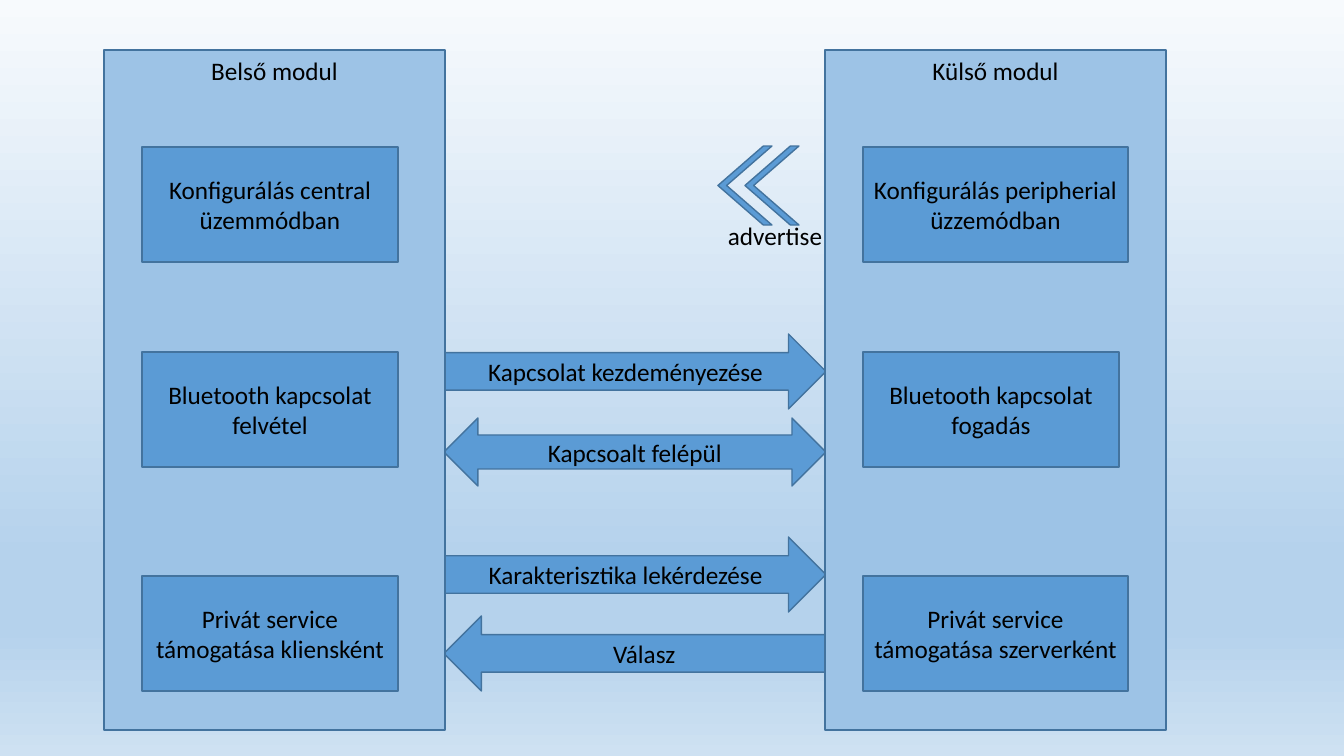
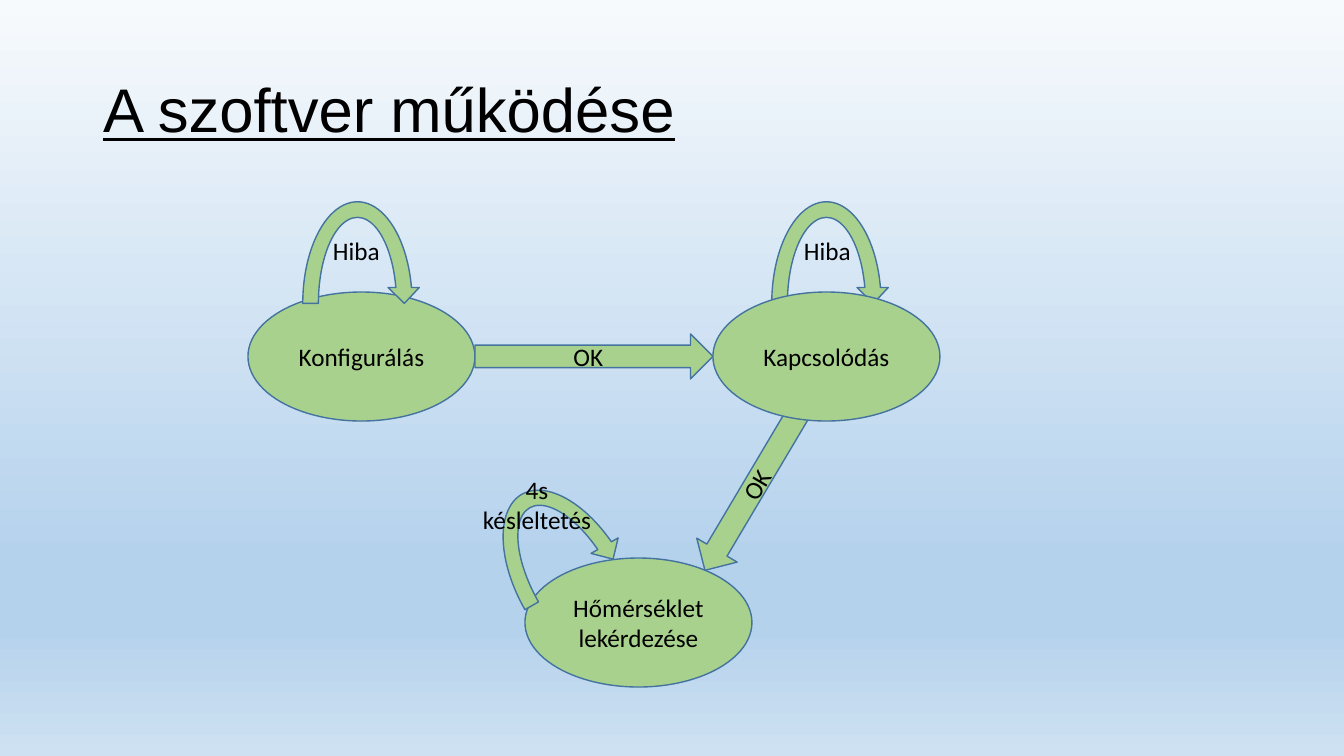
from copy import deepcopy
from dataclasses import dataclass

from pptx import Presentation
from pptx.dml.color import RGBColor
from pptx.enum.shapes import MSO_SHAPE
from pptx.enum.text import MSO_ANCHOR, MSO_AUTO_SIZE, PP_ALIGN
from pptx.oxml.ns import qn
from pptx.util import Pt

RECT, ELLIPSE, CHEVRON = MSO_SHAPE.RECTANGLE, MSO_SHAPE.OVAL, MSO_SHAPE.CHEVRON
RIGHT, BOTH = MSO_SHAPE.RIGHT_ARROW, MSO_SHAPE.LEFT_RIGHT_ARROW
LOOP = MSO_SHAPE.CIRCULAR_ARROW
TOP, MIDDLE = MSO_ANCHOR.TOP, MSO_ANCHOR.MIDDLE
LEFT, CENTER = PP_ALIGN.LEFT, PP_ALIGN.CENTER
GROW = MSO_AUTO_SIZE.SHAPE_TO_FIT_TEXT
TITLE_ONLY, BLANK = 5, 6


@dataclass(frozen=True)
class Theme:
    ink: str = "000000"
    line: str = "43739E"
    panel: str = "9DC3E6"
    step: str = "5B9BD5"
    state: str = "A9D18E"
    sky: tuple = ((0, "F7FAFD"), (0.74, "B5D2EC"), (0.83, "B5D2EC"), (1, "CEE1F2"))
    title_font: str = "Arial"
    body_font: str = "Calibri"
    title_size: int = 44
    body_size: int = 18


THEME = Theme()
WIDTH, HEIGHT = 1344, 756
EMU_PER_PX = 914400 / 100.8


def px(n):
    return round(n * EMU_PER_PX)


def color(value):
    return RGBColor.from_string(value)


# Shared helpers
def set_text(tf, text, align=CENTER, font=THEME.body_font, size=THEME.body_size):
    tf.text = text
    for p in tf.paragraphs:
        p.alignment = align
        for r in p.runs:
            r.font.name, r.font.size = font, Pt(size)
            r.font.color.rgb = color(THEME.ink)


def add_block(slide, kind, box, fill, text="", anchor=MIDDLE, rot=0, flip=False):
    s = slide.shapes.add_shape(kind, *map(px, box))
    s.shadow.inherit = False
    s.fill.solid()
    s.fill.fore_color.rgb = color(fill)
    s.line.color.rgb = color(THEME.line)
    s.line.width = Pt(1)
    s.rotation = rot
    if flip:
        s.element.spPr.find(qn("a:xfrm")).set("flipH", "1")
    if text:
        s.text_frame.word_wrap = True
        s.text_frame.vertical_anchor = anchor
        set_text(s.text_frame, text)
    return s


def add_label(slide, box, text, align=LEFT, wrap=True):
    tf = slide.shapes.add_textbox(*map(px, box)).text_frame
    tf.word_wrap = wrap
    tf.auto_size = GROW
    set_text(tf, text, align)


def paint_background(master):
    fill = master.background.fill
    fill.gradient()
    fill.gradient_angle = 270
    stops = master.element.find(".//" + qn("a:gsLst"))
    while len(stops) < len(THEME.sky):
        stops.append(deepcopy(stops[0]))
    for stop, (position, value) in zip(fill.gradient_stops, THEME.sky):
        stop.position = position
        stop.color.rgb = color(value)


def set_title(slide, box, text):
    sp = slide.shapes.title
    sp.left, sp.top, sp.width, sp.height = map(px, box)
    tf = sp.text_frame
    tf.vertical_anchor = MIDDLE
    set_text(tf, text, LEFT, THEME.title_font, THEME.title_size)
    p = tf.paragraphs[0]
    p.line_spacing = 0.9
    p.runs[0].font.underline = True


# Slide 1: two modules and their messages
def add_module(slide, box, name, steps):
    x, y, _, _ = box
    add_block(slide, RECT, box, THEME.panel, name, TOP)
    for dy, (width, text) in zip((97, 302, 526), steps):
        add_block(slide, RECT, (x + 38, y + dy, width, 115), THEME.step, text)


def add_messages(slide, box):
    x, y, width, _ = box
    messages = (
        (RIGHT, 284, 75, False, "Kapcsolat kezdeményezése"),
        (BOTH, 368, 68, False, "Kapcsoalt felépül"),
        (RIGHT, 487, 75, False, "Karakterisztika lekérdezése"),
        (RIGHT, 566, 75, True, "Válasz"),
    )
    for kind, dy, height, flip, text in messages:
        add_block(slide, kind, (x, y + dy, width, height), THEME.step, text, flip=flip)


def add_advertising(slide, box):
    x, y, _, _ = box
    for dx in (0, 27):
        s = add_block(slide, CHEVRON, (x + dx, y, 54, 79), THEME.step, flip=True)
        s.adjustments[0] = 0.84
    add_label(slide, (x, y + 69, 116, 40), "advertise", wrap=False)


def build_modules(prs):
    slide = prs.slides.add_slide(prs.slide_layouts[BLANK])
    add_messages(slide, (444, 50, 382, 680))
    add_advertising(slide, (718, 146, 116, 109))
    add_module(slide, (104, 50, 341, 680), "Belső modul", (
        (256, "Konfigurálás central üzemmódban"),
        (256, "Bluetooth kapcsolat felvétel"),
        (256, "Privát service támogatása kliensként"),
    ))
    add_module(slide, (825, 50, 341, 680), "Külső modul", (
        (265, "Konfigurálás peripherial\nüzzemódban"),
        (256, "Bluetooth kapcsolat fogadás"),
        (265, "Privát service támogatása szerverként"),
    ))


# Slide 2: state diagram
def add_state(slide, box, name):
    add_block(slide, ELLIPSE, box, THEME.state, name)


def add_loop(slide, state, offset, label, text, align=LEFT, rot=0):
    """Place the loop and its label relative to the state's box."""
    x, y, _, _ = state
    dx, dy = offset
    label_dx, label_dy, width, height = label
    add_block(slide, LOOP, (x + dx, y + dy, 125, 219), THEME.state, rot=rot)
    add_label(slide, (x + label_dx, y + label_dy, width, height), text, align)


def build_states(prs):
    slide = prs.slides.add_slide(prs.slide_layouts[TITLE_ONLY])
    set_title(slide, (93, 40, 1159, 146), "A szoftver működése")
    setup, connect, query = (
        (x, y, 227, 129) for x, y in ((248, 292), (713, 292), (525, 558)))

    # The connecting state covers the ends of its arrows
    add_state(slide, setup, "Konfigurálás")
    add_state(slide, query, "Hőmérséklet lekérdezése")
    add_loop(slide, setup, (47, -98), (75, -62, 119, 40), "Hiba")
    add_loop(slide, connect, (51, -98), (81, -62, 91, 40), "Hiba")
    add_loop(slide, query, (-15, -85), (-60, -89, 144, 72),
             "4s késleltetés", CENTER, 330.2)
    add_block(slide, RIGHT, (475, 334, 238, 45), THEME.state, "OK")
    add_block(slide, RIGHT, (659, 466, 188, 47), THEME.state, "OK",
              rot=300.7, flip=True)
    add_state(slide, connect, "Kapcsolódás")


prs = Presentation()
prs.slide_width, prs.slide_height = px(WIDTH), px(HEIGHT)
paint_background(prs.slide_master)
build_modules(prs)
build_states(prs)
prs.save("out.pptx")
